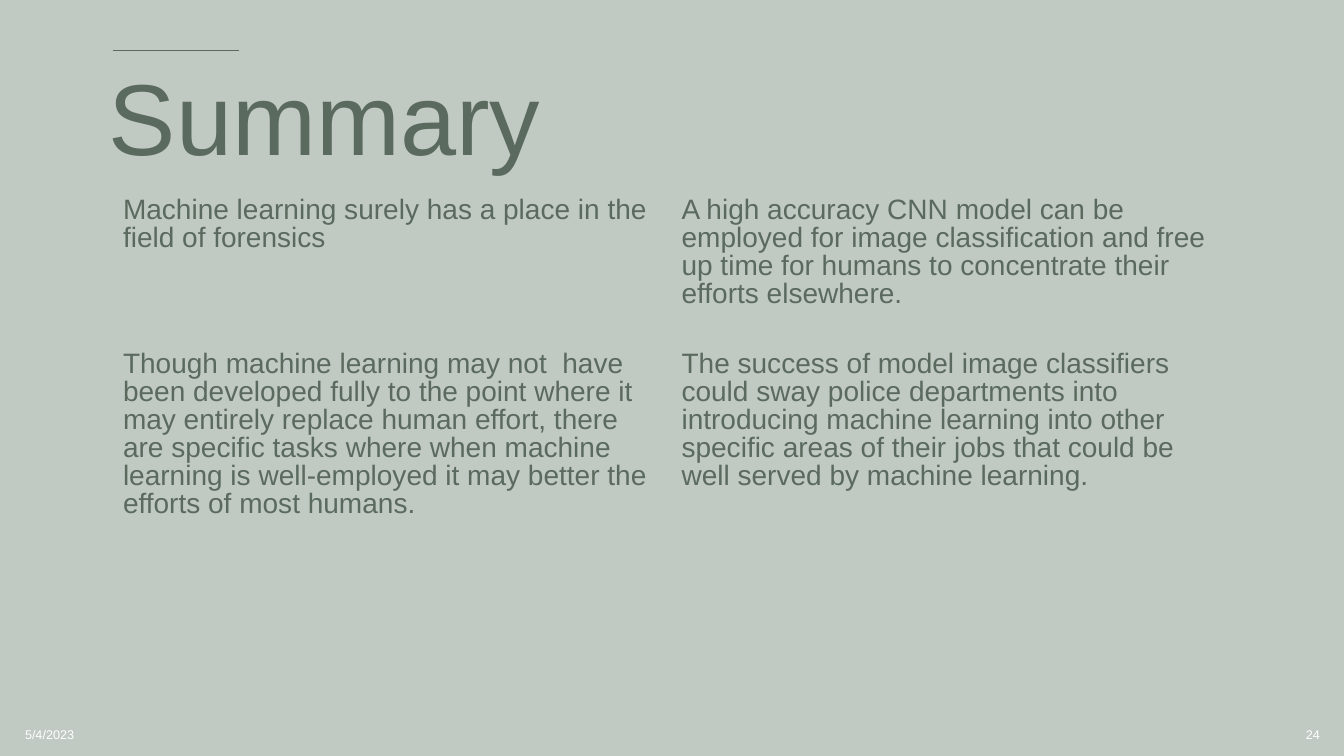
from typing import NamedTuple

from pptx import Presentation
from pptx.dml.color import RGBColor
from pptx.enum import shapes, text
from pptx.oxml import ns, parse_xml
from pptx.util import Inches, Pt

SAGE = RGBColor(0xC0, 0xC9, 0xC2)
GREEN = RGBColor(0x5B, 0x6A, 0x5E)
WHITE = RGBColor(0xFF, 0xFF, 0xFF)
FONT = "Arial"
NO_GRID = "{2D5ABB26-0587-4C30-8999-92F81FD0307C}"

ROWS = [1.53, 2.36, 0.37]
COL = 5.54
POINTS = [
    [
        "Machine learning surely has a place in the field of forensics",
        "A high accuracy CNN model can be employed for image classification "
        "and free up time for humans to concentrate their efforts elsewhere.",
    ],
    [
        "Though machine learning may not  have been developed fully to the "
        "point where it may entirely replace human effort, there are specific "
        "tasks where when machine learning is well-employed it may better the "
        "efforts of most humans.",
        "The success of model image classifiers could sway police departments "
        "into introducing machine learning into other specific areas of their "
        "jobs that could be well served by machine learning.",
    ],
]


class Note(NamedTuple):
    words: str
    left: float
    align: text.PP_ALIGN


NOTES = [
    Note("5/4/2023", 0.15, text.PP_ALIGN.LEFT),
    Note("24", 10.19, text.PP_ALIGN.RIGHT),
]


def style(par, size: float, color: RGBColor) -> None:
    par.font.name = FONT
    par.font.size = Pt(size)
    par.font.color.rgb = color


def add_rule(slide) -> None:
    rule = slide.shapes.add_connector(
        shapes.MSO_CONNECTOR.STRAIGHT,
        Inches(1.12), Inches(0.5), Inches(2.37), Inches(0.5))
    rule.line.color.rgb = GREEN
    rule.line.width = Pt(1.25)
    rule.element.spPr.append(parse_xml(f"<a:effectLst {ns.nsdecls('a')}/>"))


def set_title(slide) -> None:
    title = slide.shapes.title
    title.left, title.top = Inches(0.98), Inches(0.63)
    title.width, title.height = Inches(11.11), Inches(1.18)
    frame = title.text_frame
    frame.text = "Summary"
    frame.auto_size = text.MSO_AUTO_SIZE.NONE
    frame.vertical_anchor = text.MSO_ANCHOR.MIDDLE
    par = frame.paragraphs[0]
    par.alignment = text.PP_ALIGN.LEFT
    par.line_spacing = 0.9
    style(par, 72, GREEN)


def add_points(slide) -> None:
    frame = slide.shapes.add_table(
        len(ROWS), 2, Inches(1.12), Inches(1.9),
        Inches(2 * COL), Inches(sum(ROWS)))
    for tag in frame.element.iter(ns.qn("a:tableStyleId")):
        tag.text = NO_GRID
    table = frame.table
    table.first_row = table.horz_banding = False
    for col in table.columns:
        col.width = Inches(COL)
    for row, high in zip(table.rows, ROWS):
        row.height = Inches(high)
    for cell in table.iter_cells():
        cell.fill.background()
    for r, line in enumerate(POINTS):
        for c, words in enumerate(line):
            cell = table.cell(r, c)
            cell.text = words
            par = cell.text_frame.paragraphs[0]
            par.line_spacing = 0.9
            par.space_before = Pt(10)
            style(par, 20, GREEN)


def add_note(slide, note: Note) -> None:
    box = slide.shapes.add_textbox(
        Inches(note.left), Inches(7.09), Inches(3), Inches(0.4))
    frame = box.text_frame
    frame.word_wrap = True
    frame.vertical_anchor = text.MSO_ANCHOR.MIDDLE
    frame.text = note.words
    par = frame.paragraphs[0]
    par.alignment = note.align
    style(par, 9, WHITE)


def main() -> None:
    deck = Presentation()
    deck.slide_width, deck.slide_height = Inches(13.33), Inches(7.5)
    slide = deck.slides.add_slide(deck.slide_layouts[5])
    fill = slide.background.fill
    fill.solid()
    fill.fore_color.rgb = SAGE
    add_rule(slide)
    set_title(slide)
    add_points(slide)
    for note in NOTES:
        add_note(slide, note)
    deck.save("out.pptx")


if __name__ == "__main__":
    main()
